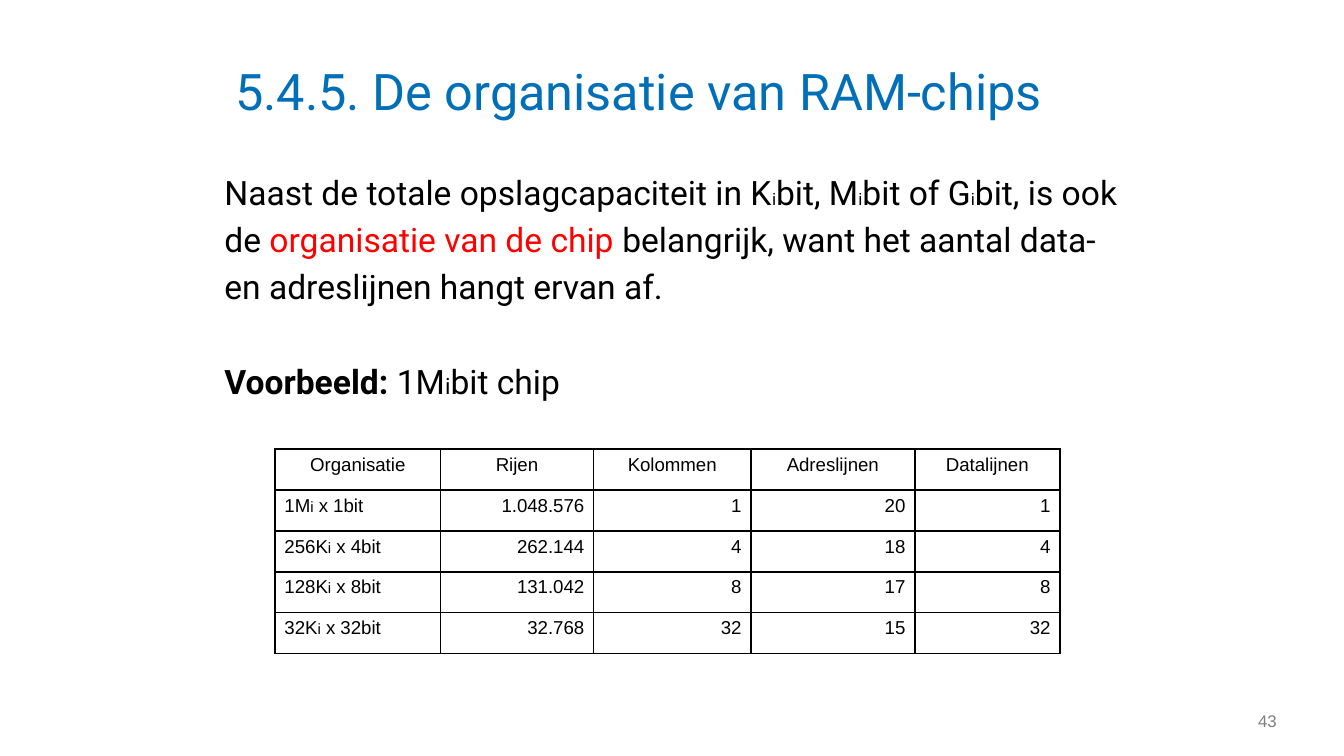
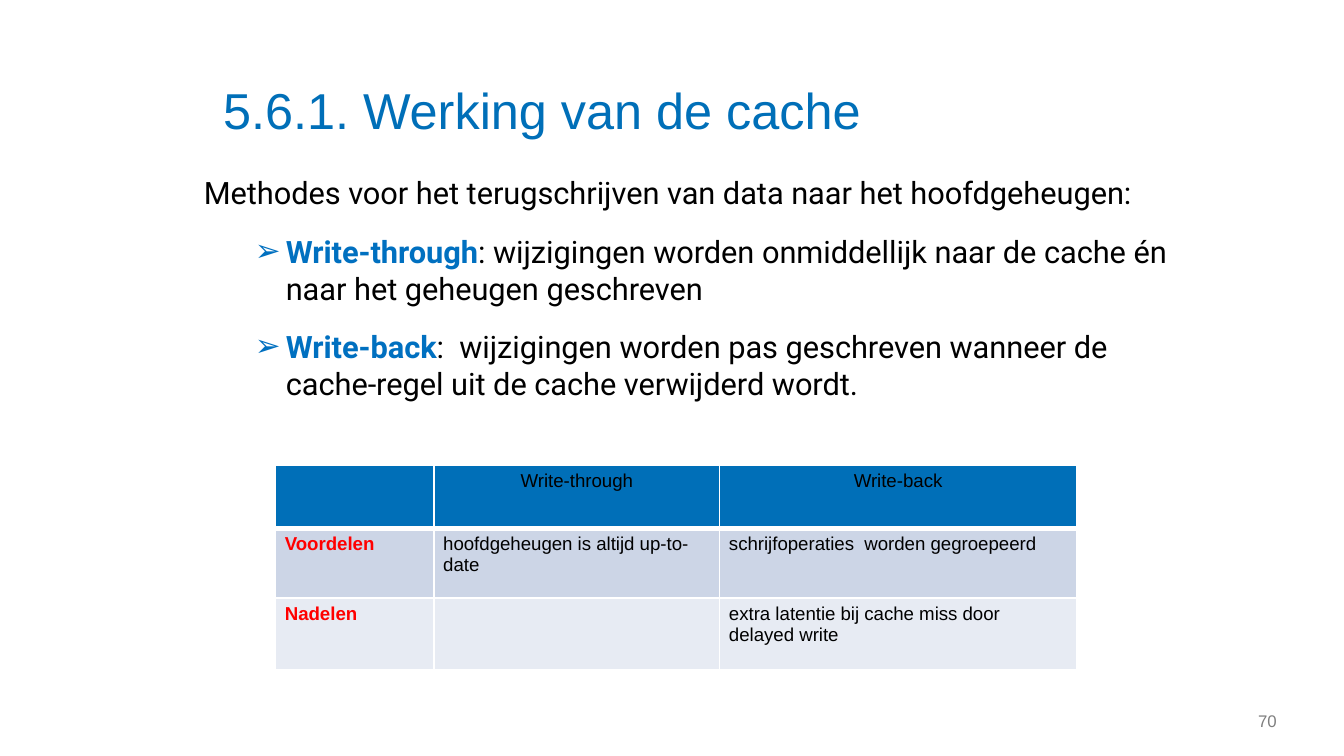
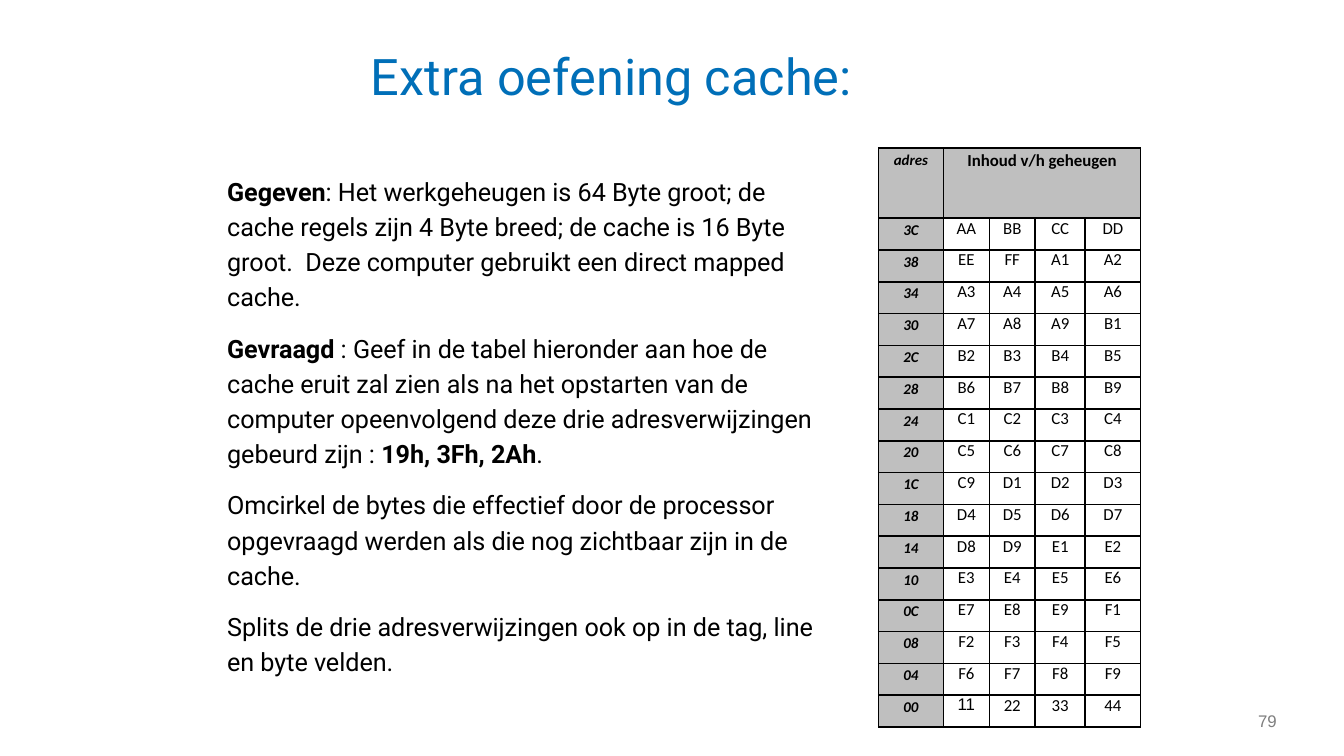
from lxml.etree import SubElement
from pptx import Presentation
from pptx.dml.color import RGBColor
from pptx.enum.text import MSO_ANCHOR, MSO_AUTO_SIZE, PP_ALIGN
from pptx.oxml.ns import qn
from pptx.util import Inches, Pt

WIDTH = 10
HEIGHT = WIDTH * 9 / 16
BLACK, WHITE, RED, GREY = "000000", "FFFFFF", "FF0000", "7F7F7F"
TITLE_BLUE, TERM_BLUE, SHADE = "006FB8", "0070C0", "BFBFBF"
LEFT, CENTER, RIGHT = PP_ALIGN.LEFT, PP_ALIGN.CENTER, PP_ALIGN.RIGHT
LINE_GAP = 0.2


def rgb(value):
    return RGBColor.from_string(value)


def area(left, top, width, height):
    return [Inches(share * size / 100) for share, size in
            zip((left, top, width, height), (WIDTH, HEIGHT, WIDTH, HEIGHT))]


def add_text(p, text, size=18, font="Roboto", color=BLACK, bold=False, italic=False):
    r = p.add_run()
    r.text = text
    r.font.size = Pt(size)
    r.font.name = font
    r.font.color.rgb = rgb(color)
    r.font.bold = bold
    r.font.italic = italic


def add_runs(p, runs, **fmt):
    for run in [runs] if isinstance(runs, str) else runs:
        text, own = (run, {}) if isinstance(run, str) else run
        add_text(p, text, **{**fmt, **own})


def reset_frame(tf, anchor=MSO_ANCHOR.TOP):
    tf.margin_left = tf.margin_right = tf.margin_top = tf.margin_bottom = 0
    tf.word_wrap = True
    tf.auto_size = MSO_AUTO_SIZE.NONE
    tf.vertical_anchor = anchor
    return tf


def add_box(slide, place, anchor=MSO_ANCHOR.TOP):
    return reset_frame(slide.shapes.add_textbox(*area(*place)).text_frame, anchor)


def add_slide(prs, title, place, number, font="Roboto"):
    slide = prs.slides.add_slide(prs.slide_layouts[5])
    sp = slide.shapes.title
    sp.left, sp.top, sp.width, sp.height = area(*place)
    p = reset_frame(sp.text_frame).paragraphs[0]
    p.alignment = LEFT
    add_text(p, title, 27, font, TITLE_BLUE)
    p = add_box(slide, (89.1, 91.4, 5.9, 5.33), MSO_ANCHOR.BOTTOM).paragraphs[0]
    p.alignment = RIGHT
    add_text(p, number, 9, "Arial", GREY)
    return slide


def set_bullet(p, char, color):
    pPr = p._p.get_or_add_pPr()
    pPr.set("marL", str(Inches(0.61)))
    pPr.set("indent", str(Inches(-0.23)))
    clr = SubElement(pPr, qn("a:buClr"))
    SubElement(clr, qn("a:srgbClr")).set("val", color)
    SubElement(pPr, qn("a:buFont")).set("typeface", "Arial")
    SubElement(pPr, qn("a:buChar")).set("char", char)


def add_body(slide, place, blocks, size, block_gap, bullet=None):
    tf = add_box(slide, place)
    for b, lines in enumerate(blocks):
        for n, runs in enumerate(lines):
            first = b == n == 0
            p = tf.paragraphs[0] if first else tf.add_paragraph()
            if bullet and b:
                set_bullet(p, bullet, TERM_BLUE)
            if not first:
                p.space_before = Pt(LINE_GAP * size if n else block_gap)
            add_runs(p, runs, size=size)


def set_border(cell, color, bottom):
    tcPr = cell._tc.get_or_add_tcPr()
    for n, side in enumerate(("lnL", "lnR", "lnT", "lnB")):
        ln = tcPr.makeelement(qn("a:" + side), {"w": str(Pt(bottom if side == "lnB" else 1))})
        fill = SubElement(ln, qn("a:solidFill"))
        SubElement(fill, qn("a:srgbClr")).set("val", color)
        tcPr.insert(n, ln)


def add_grid(slide, place, cols, rows, data, style, line=BLACK, head_line=1, inset=(0.07, 0.04)):
    left, top, width, height = area(*place)
    table = slide.shapes.add_table(len(rows), len(cols), left, top, width, height).table
    table.first_row = table.horz_banding = False
    for tracks, shares, size, side in ((table.columns, cols, width, "width"),
                                       (table.rows, rows, height, "height")):
        for track, share in zip(tracks, shares):
            setattr(track, side, round(size * share / sum(shares)))
    for r, row in enumerate(data):
        for c, runs in enumerate(row):
            cell = table.cell(r, c)
            fmt = style(r, c)
            cell.fill.solid()
            cell.fill.fore_color.rgb = rgb(fmt.pop("fill"))
            cell.margin_left = cell.margin_right = Inches(inset[0])
            cell.margin_top = cell.margin_bottom = Inches(inset[1])
            set_border(cell, line, 1 if r else head_line)
            p = cell.text_frame.paragraphs[0]
            p.alignment = fmt.pop("align")
            p.line_spacing = fmt.pop("spacing", 1.0)
            if runs:
                add_runs(p, runs, **fmt)
    return table


def chip_style(r, c):
    align = CENTER if r == 0 else RIGHT if c else LEFT
    return dict(fill=WHITE, align=align, size=10, font="Arial")


def method_style(r, c):
    label = r > 0 and c == 0
    return dict(fill=(TITLE_BLUE, "CCD5E6", "E7EBF3")[r], align=LEFT if r else CENTER,
                size=10, font="Arial", color=RED if label else BLACK, bold=label)


def memory_style(r, c):
    head = r == 0 or c == 0
    return dict(fill=SHADE if head else WHITE, align=CENTER, spacing=1.15 if head else 1.0,
                size=9 if c else 8, font="Calibri", bold=head, italic=c == 0)


def binary(prefix, suffix, size):
    return [prefix, ("i", dict(size=size)), suffix]


def bold(text, **fmt):
    return text, dict(bold=True, **fmt)


def ram_slide(prs):
    slide = add_slide(prs, "5.4.5. De organisatie van RAM-chips", (17.5, 8, 67.6, 16.71), "43")
    small = ("i", dict(size=9))
    add_body(slide, (16.7, 22.76, 68.7, 66.49), [
        [["Naast de totale opslagcapaciteit in K", small, "bit, M", small,
          "bit of G", small, "bit, is ook"],
         ["de ", ("organisatie van de chip ", dict(color=RED)),
          "belangrijk, want het aantal data-"],
         "en adreslijnen hangt ervan af."],
        [[bold("Voorbeeld: "), *binary("1M", "bit chip", 12)]],
    ], 18, 29.2)
    chips = [("1M", " x 1bit", "1.048.576", "1", "20"),
             ("256K", " x 4bit", "262.144", "4", "18"),
             ("128K", " x 8bit", "131.042", "8", "17"),
             ("32K", " x 32bit", "32.768", "32", "15")]
    data = [["Organisatie", "Rijen", "Kolommen", "Adreslijnen", "Datalijnen"]]
    data += [[binary(unit, width, 8), rows, columns, address, columns]
             for unit, width, rows, columns, address in chips]
    add_grid(slide, (20.47, 59.43, 58.4, 27.02), (1.23, 1.14, 1.17, 1.22, 1.08),
             [1] * len(data), data, chip_style)


def cache_slide(prs):
    slide = add_slide(prs, "5.6.1. Werking van de cache", (16.6, 10.49, 67.7, 8.36), "70", "Arial")
    add_body(slide, (15.17, 22.98, 72.3, 73.96), [
        ["Methodes voor het terugschrijven van data naar het hoofdgeheugen:"],
        [[bold("Write-through", color=TERM_BLUE),
          ": wijzigingen worden onmiddellijk naar de cache én naar het geheugen geschreven"]],
        [[bold("Write-back", color=TERM_BLUE),
          ":  wijzigingen worden pas geschreven wanneer de cache-regel uit de cache "
          "verwijderd wordt."]],
    ], 16.5, 11.6, "➢")
    add_grid(slide, (20.5, 61.53, 59.6, 27.02), (1.18, 2.13, 2.66), (0.47, 0.52, 0.53), [
        ["", "Write-through", "Write-back"],
        ["Voordelen", "hoofdgeheugen is altijd up-to-date",
         "schrijfoperaties  worden gegroepeerd"],
        ["Nadelen", "", "extra latentie bij cache miss door delayed write"],
    ], method_style, WHITE, 3)


def exercise_slide(prs):
    slide = add_slide(prs, "Extra oefening cache:", (27.6, 5.9, 56.8, 16.71), "79")
    add_body(slide, (16.9, 23.29, 46.9, 76.62), [
        [[bold("Gegeven"), ": Het werkgeheugen is 64 Byte groot; de"],
         "cache regels zijn 4 Byte breed; de cache is 16 Byte",
         "groot.  Deze computer gebruikt een direct mapped",
         "cache."],
        [[bold("Gevraagd"), " : Geef in de tabel hieronder aan hoe de"],
         "cache eruit zal zien als na het opstarten van de",
         "computer opeenvolgend deze drie adresverwijzingen",
         ["gebeurd zijn : ", bold("19h, 3Fh, 2Ah"), "."]],
        ["Omcirkel de bytes die effectief door de processor",
         "opgevraagd werden als die nog zichtbaar zijn in de",
         "cache."],
        ["Splits de drie adresverwijzingen ook op in de tag, line",
         "en byte velden."],
    ], 13.5, 11.2)
    values = ["AA", "BB", "CC", "DD", "EE", "FF"]
    values += [f"{letter}{digit}" for letter in "ABCDEF" for digit in range(1, 10)]
    values += [("11", dict(font="Arial")), "22", "33", "44"]
    data = [["adres", "Inhoud v/h geheugen", "", "", ""]]
    data += [[f"{60 - n:02X}"] + [[value] for value in values[n:n + 4]] for n in range(0, 64, 4)]
    table = add_grid(slide, (65.37, 19.57, 19.5, 76.62), (0.48, 0.34, 0.34, 0.37, 0.41),
                     [0.53] + [0.24] * 16, data, memory_style, inset=(0, 0))
    table.cell(0, 1).merge(table.cell(0, 4))


def main():
    prs = Presentation()
    prs.slide_width, prs.slide_height = Inches(WIDTH), Inches(HEIGHT)
    ram_slide(prs)
    cache_slide(prs)
    exercise_slide(prs)
    prs.save("out.pptx")


if __name__ == "__main__":
    main()
